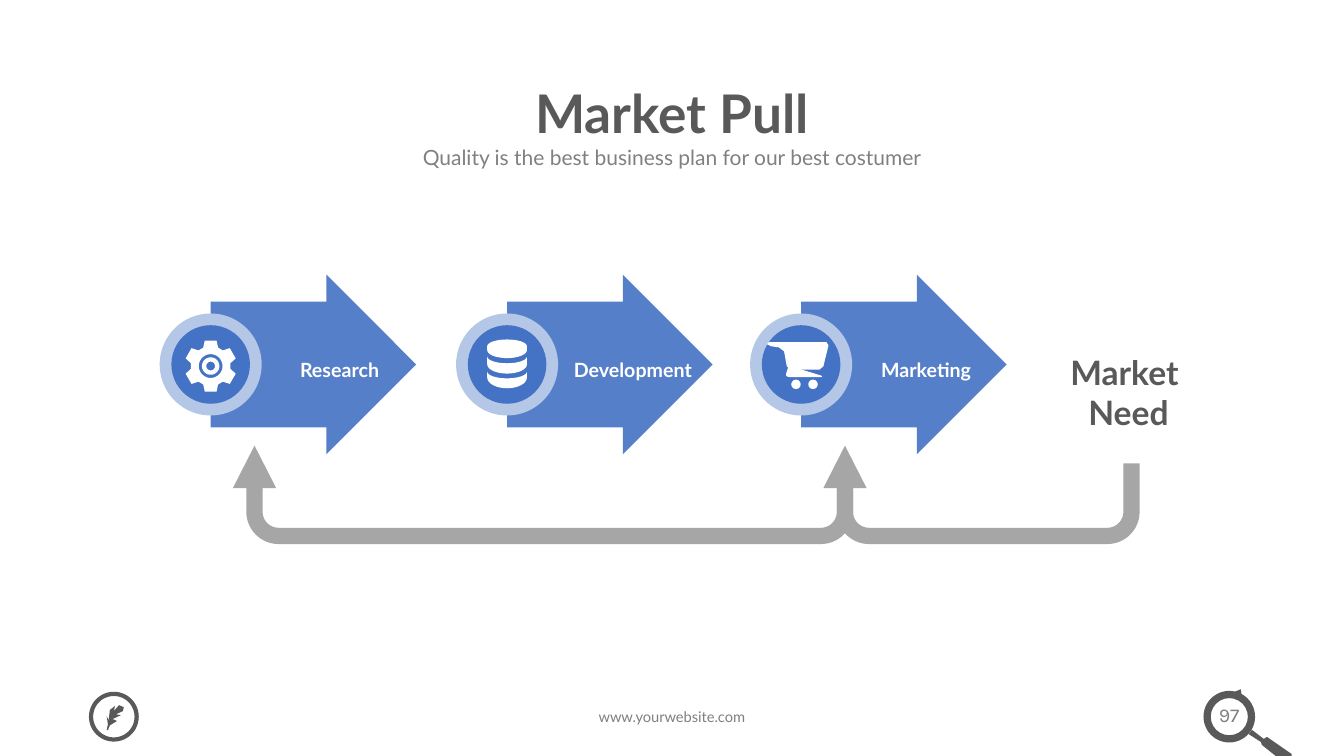
import dataclasses
import math

import lxml.etree
import pptx
import pptx.dml.color
import pptx.enum.shapes
import pptx.enum.text
import pptx.oxml.ns
import pptx.util

Cm = pptx.util.Cm
SHAPE = pptx.enum.shapes.MSO_SHAPE
ANCHOR = pptx.enum.text.MSO_ANCHOR
CENTER = pptx.enum.text.PP_ALIGN.CENTER


@dataclasses.dataclass(frozen=True)
class Theme:
    dark: str = "595959"
    gray: str = "808080"
    blue: str = "4472C4"
    pale: str = "B4C7E7"
    white: str = "FFFFFF"
    band: str = "A7A6A6"
    font: str = "Lato"
    number_font: str = "Karla"
    title: float = 38
    need: float = 24
    subtitle: float = 15
    label: float = 14
    website: float = 10.5


@dataclasses.dataclass(frozen=True)
class Box:
    """A region, in centimetres."""
    left: float
    top: float
    width: float
    height: float

    def inner(self, left, top, width, height):
        return Box(self.left + left, self.top + top, width, height)

    def lengths(self):
        return {name: Cm(value) for name, value in dataclasses.asdict(self).items()}


THEME = Theme()


def apply(target, values):
    for name, value in values.items():
        setattr(target, name, value)


def rgb(color):
    return pptx.dml.color.RGBColor.from_string(color)


# Basic parts
def paint(shape, color):
    shape.shadow.inherit = False
    shape.fill.solid()
    shape.fill.fore_color.rgb = rgb(color)
    shape.line.fill.background()
    return shape


def add_preset(slide, kind, box, color, adjustments=()):
    shape = slide.shapes.add_shape(kind, *box.lengths().values())
    for index, value in enumerate(adjustments):
        shape.adjustments[index] = value
    return paint(shape, color)


def add_circle(slide, x, y, diameter, color):
    box = Box(x - diameter / 2, y - diameter / 2, diameter, diameter)
    return add_preset(slide, SHAPE.OVAL, box, color)


def add_outline(slide, x, y, contours, color):
    """Draw closed contours whose points are relative to (x, y)."""
    contours = [[(Cm(x + dx), Cm(y + dy)) for dx, dy in contour] for contour in contours]
    builder = slide.shapes.build_freeform(*contours[0][0])
    for index, contour in enumerate(contours):
        if index:
            builder.move_to(*contour[0])
        builder.add_line_segments(contour[1:], close=True)
    return paint(builder.convert_to_shape(), color)


def arc(x, y, radius_x, radius_y, start, end, steps=16):
    angles = [math.radians(start + (end - start) * i / steps) for i in range(steps + 1)]
    return [(x + radius_x * math.cos(a), y + radius_y * math.sin(a)) for a in angles]


def write(shape, box, lines, size, color, bold=False, font=THEME.font,
          frame_values=None, paragraph_values=None):
    apply(shape, box.lengths())
    frame = shape.text_frame
    apply(frame, {"word_wrap": True, "auto_size": pptx.enum.text.MSO_AUTO_SIZE.NONE,
                  "vertical_anchor": ANCHOR.TOP, **(frame_values or {})})
    frame.text = "\n".join(lines)
    for paragraph in frame.paragraphs:
        apply(paragraph, {"alignment": CENTER, **(paragraph_values or {})})
        run_font = paragraph.runs[0].font
        apply(run_font, {"name": font, "size": pptx.util.Pt(size), "bold": bold})
        run_font.color.rgb = rgb(color)


def add_text(slide, box, *arguments, **options):
    write(slide.shapes.add_textbox(*box.lengths().values()), box, *arguments, **options)


# Icons, each centred on (x, y)
def gear_icon(slide, x, y):
    teeth = []
    for tooth in range(-90, 270, 60):
        for offset, radius in ((-22, 0.5), (-13, 0.66), (13, 0.66), (22, 0.5)):
            angle = math.radians(tooth + offset)
            teeth.append((radius * math.cos(angle), radius * math.sin(angle)))
    rings = [arc(0, 0, radius, radius, 0, 360, 36) for radius in (0.3, 0.22, 0.11)]
    add_outline(slide, x, y + 0.04, [teeth, *rings], THEME.white)


def database_icon(slide, x, y):
    # Upper side, upper bulge, lower side, lower bulge
    layers = ((-0.46, -0.17, -0.36, 0.2), (-0.2, 0.17, 0, 0.23), (0.18, 0.17, 0.33, 0.27))
    contours = [arc(0, upper, 0.5, upper_bulge, 180, 0) + arc(0, lower, 0.5, lower_bulge, 0, 180)
                for upper, upper_bulge, lower, lower_bulge in layers]
    # A negative bulge rises above the side, a positive one sags below it
    add_outline(slide, x, y, contours, THEME.white)


def cart_icon(slide, x, y):
    basket = [(0.46, 0.13), (0.56, 0.05), (0.69, -0.48), (0.64, -0.56), (-0.81, -0.56),
              (-0.86, -0.51), (-0.76, -0.46), (-0.56, -0.43), (-0.43, -0.33),
              (-0.36, 0.05), (-0.25, 0.13)]
    shelf = [(-0.3, 0.05), (-0.36, 0.23), (-0.36, 0.28), (-0.3, 0.3), (0.51, 0.3)]
    add_outline(slide, x, y, [basket], THEME.white)
    line = add_outline(slide, x, y, [shelf], THEME.white).line
    line.color.rgb = rgb(THEME.white)
    line.width = pptx.util.Pt(1)
    for wheel in (-0.13, 0.3):
        add_circle(slide, x + wheel, y + 0.5, 0.24, THEME.white)


def feather_icon(slide, x, y):
    feather = [(-0.15, 0.34), (-0.1, 0.22), (0.08, 0.11), (-0.03, 0.06), (0.18, -0.04),
               (0.05, -0.06), (0.23, -0.14), (0.25, -0.24), (0.13, -0.29), (0, -0.14),
               (0.03, -0.27), (-0.1, -0.17), (-0.13, 0.09), (-0.18, -0.01),
               (-0.15, 0.19), (-0.18, 0.34)]
    add_outline(slide, x, y, [feather], THEME.dark)


# Regions
def add_heading(slide, box, title, subtitle):
    write(slide.shapes.title, box.inner(0, 0, box.width, 2.08), [title], THEME.title,
          THEME.dark, bold=True, frame_values={"vertical_anchor": ANCHOR.MIDDLE},
          paragraph_values={"line_spacing": 0.9})
    insets = {"margin_left": Cm(0.33), "margin_right": Cm(0.33),
              "margin_top": Cm(0.18), "margin_bottom": Cm(0.18)}
    write(slide.placeholders[1], box.inner(2.56, 1.55, box.width - 5.12, 0.99), [subtitle],
          THEME.subtitle, THEME.gray, frame_values=insets)


def add_stage(slide, box, label, label_left, icon):
    arrow = add_preset(slide, SHAPE.RIGHT_ARROW, box, THEME.blue, (0.7, 0.5))
    color = arrow.element.find(".//" + pptx.oxml.ns.qn("a:srgbClr"))
    lxml.etree.SubElement(color, pptx.oxml.ns.qn("a:alpha"), val="90000")
    middle = box.top + box.height / 2
    add_circle(slide, box.left, middle, 2.57, THEME.pale)
    add_circle(slide, box.left, middle, 1.98, THEME.blue)
    icon(slide, box.left, middle)
    add_text(slide, box.inner(label_left, 1.68, 3.86, 1.07), [label], THEME.label, THEME.white,
             bold=True, paragraph_values={"line_spacing": 1.5})


def add_feedback(slide, box, right_rise):
    """A U-shaped band with an arrowhead on its left end."""
    thick, outer, inner, head = 0.41, 0.81, 0.4, 1.07
    width, height = box.width, box.height
    band = [(0, head), *arc(outer, height - outer, outer, outer, 180, 90),
            *arc(width - outer, height - outer, outer, outer, 90, 0),
            (width, right_rise), (width - thick, right_rise),
            *arc(width - outer, height - outer, inner, inner, 0, 90),
            *arc(outer, height - outer, inner, inner, 90, 180), (thick, head)]
    add_outline(slide, box.left, box.top, [band], THEME.band)
    add_preset(slide, SHAPE.ISOSCELES_TRIANGLE,
               box.inner((thick - 1.09) / 2, 0, 1.09, head), THEME.band)


def add_footer(slide, box, website, number):
    # Badge
    badge_center = box.left + 0.62, box.top + 0.7
    badge = add_circle(slide, *badge_center, 1.15, THEME.white)
    badge.fill.background()
    badge.line.color.rgb = rgb(THEME.dark)
    badge.line.width = pptx.util.Pt(3)
    feather_icon(slide, *badge_center)
    add_text(slide, box.inner(8.55, 0.34, 12.27, 0.74), [website], THEME.website, THEME.gray)
    # Magnifier around the page number
    add_preset(slide, SHAPE.DONUT, box.inner(28.08, 0.05, 1.3, 1.3), THEME.dark, (0.14,))
    tip = add_preset(slide, SHAPE.RIGHT_ARROW, box.inner(28.81, -0.01, 0.28, 0.28),
                     THEME.dark, (0.32, 0.64))
    tip.rotation = 298.7
    handle = [(0, 0), (0.08, -0.11), (0.38, 0.12), (0.46, 0.07), (1.08, 0.5),
              (1.08, 0.55), (0.68, 0.55), (0.33, 0.27), (0.31, 0.2)]
    add_outline(slide, box.left + 29.22, box.top + 1.14, [handle], THEME.dark)
    add_text(slide, box.inner(27.95, 0.24, 1.55, 0.86), [number], THEME.label, THEME.gray,
             font=THEME.number_font)


def main():
    presentation = pptx.Presentation()
    apply(presentation, {"slide_width": Cm(33.87), "slide_height": Cm(19.05)})
    slide = presentation.slides.add_slide(presentation.slide_layouts[0])
    add_heading(slide, Box(4.24, 1.9, 25.4, 2.54), "Market Pull",
                "Quality is the best business plan for our best costumer")
    stages = ((5.31, "Research", 1.32, gear_icon), (12.78, "Development", 1.24, database_icon),
              (20.19, "Marketing", 1.22, cart_icon))
    for left, label, label_left, icon in stages:
        add_stage(slide, Box(left, 6.92, 5.18, 4.53), label, label_left, icon)
    add_text(slide, Box(25.53, 8.74, 5.82, 2.31), ["Market ", "Need"], THEME.need,
             THEME.dark, bold=True)
    for left, width, right_rise in ((6.21, 15.29, 1.07), (21.09, 7.63, 0.45)):
        add_feedback(slide, Box(left, 11.23, width, 2.48), right_rise)
    add_footer(slide, Box(2.25, 17.36, 30.3, 1.69), "www.yourwebsite.com", "97")
    presentation.save("out.pptx")


if __name__ == "__main__":
    main()
